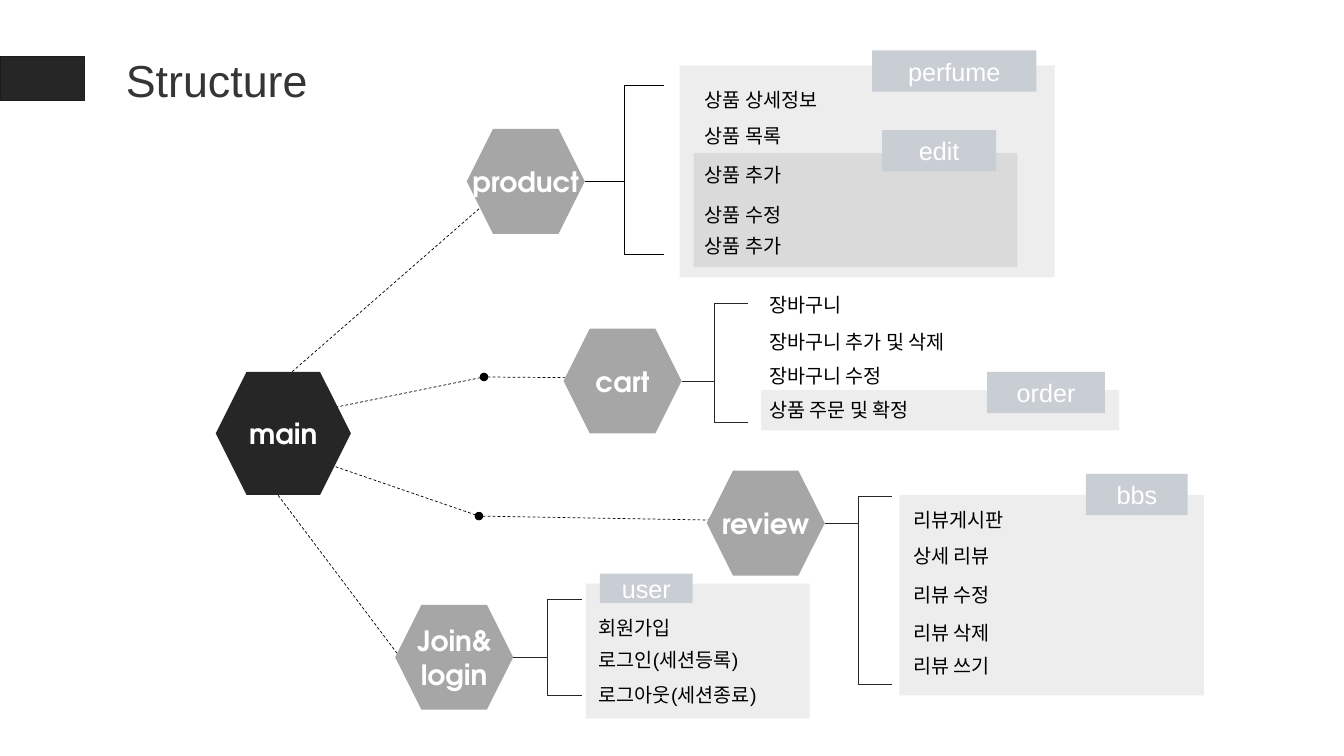
from pptx import Presentation
from pptx.dml.color import RGBColor
from pptx.enum.dml import MSO_LINE
from pptx.enum.shapes import MSO_CONNECTOR as LINK, MSO_SHAPE as SHAPE
from pptx.enum.text import MSO_ANCHOR as ANCHOR, PP_ALIGN as ALIGN
from pptx.oxml.ns import qn
from pptx.util import Inches, Pt
from lxml import etree

BLACK, DARK, GRAY, WHITE = "000000", "262626", "A6A6A6", "FFFFFF"
PANEL, INNER_PANEL, TAG = "EDEDED", "DADADA", "C9CED5"
HEX_WIDTH, HEX_HEIGHT = 1.17, 1.04

deck = Presentation()
deck.slide_width, deck.slide_height = Inches(13.33), Inches(7.5)
page = deck.slides.add_slide(deck.slide_layouts[6])


def color(hex_string):
    return RGBColor.from_string(hex_string)


def add_box(text, left, top, width, height, kind=None, fill=None, line=None,
            size=14, font="Arial", ink=BLACK, bold=False,
            align=ALIGN.LEFT, anchor=ANCHOR.TOP, wrap=True):
    """Add a filled shape of the given kind, or a text box if there is none."""
    place = [Inches(value) for value in (left, top, width, height)]
    if kind is None:
        box = page.shapes.add_textbox(*place)
    else:
        box = page.shapes.add_shape(kind, *place)
        box.shadow.inherit = False
        box.fill.solid()
        box.fill.fore_color.rgb = color(fill)
        if line:
            box.line.color.rgb = color(line)
            box.line.width = Pt(1)
        else:
            box.line.fill.background()
    frame = box.text_frame
    frame.word_wrap = wrap
    frame.vertical_anchor = anchor
    for number, row in enumerate(text.split("\n") if text else []):
        para = frame.add_paragraph() if number else frame.paragraphs[0]
        para.alignment = align
        span = para.add_run()
        span.text = row
        span.font.size = Pt(size)
        span.font.name = font
        span.font.bold = bold
        span.font.color.rgb = color(ink)


def add_link(kind, start, end, ink):
    link = page.shapes.add_connector(kind, *[Inches(v) for v in (*start, *end)])
    link.line.color.rgb = color(ink)
    link.line.width = Pt(0.5)
    etree.SubElement(link._element.spPr, qn("a:effectLst"))
    return link


# Title and its marker
add_box("", 0, 0.56, 0.84, 0.44, kind=SHAPE.RECTANGLE, fill=DARK, line="1C1C1C")
add_box("Structure", 1.15, 0.48, 11.5, 0.62, size=32, ink="353535",
        anchor=ANCHOR.MIDDLE)

# Panels behind the page lists
panels = [
    (7.55, 3.87, 3.55, 0.4, PANEL),
    (8.92, 4.91, 3.02, 1.99, PANEL),
    (5.81, 5.79, 2.22, 1.34, PANEL),
    (6.74, 0.65, 3.72, 2.1, PANEL),
    (6.88, 1.52, 3.21, 1.13, INNER_PANEL),
]
for *place, fill in panels:
    add_box("", *place, kind=SHAPE.RECTANGLE, fill=fill)

# Dashed links from main to each section, with round ends
cart_joint, review_joint = (4.8, 3.74), (4.75, 5.12)
dashed_links = [
    ((5.04, 1.82), (2.78, 3.79)),
    ((4.08, 6.67), (2.65, 4.77)),
    (cart_joint, (6.05, 3.75)),
    (cart_joint, (2.84, 4.14)),
    (review_joint, (3.27, 4.61)),
    (review_joint, (7.07, 5.16)),
]
for start, end in dashed_links:
    link = add_link(LINK.STRAIGHT, start, end, BLACK)
    link.line.dash_style = MSO_LINE.DASH
    outline = link.line._get_or_add_ln()
    for tip in ("a:headEnd", "a:tailEnd"):
        etree.SubElement(outline, qn(tip), type="oval")

# Page lists: left edge, then the top of each entry
page_lists = [
    (6.89, [(0.82, "상품 상세정보"), (1.18, "상품 목록"), (1.57, "상품 추가"),
            (1.96, "상품 수정"), (2.27, "상품 추가")]),
    (7.53, [(2.86, "장바구니"), (3.22, "장바구니 추가 및 삭제"),
            (3.56, "장바구니 수정"), (3.9, "상품 주문 및 확정")]),
    (8.96, [(4.99, "리뷰게시판"), (5.35, "상세 리뷰"), (5.73, "리뷰 수정"),
            (6.11, "리뷰 삭제"), (6.44, "리뷰 쓰기")]),
    (5.84, [(6.06, "회원가입"), (6.38, "로그인(세션등록)"),
            (6.73, "로그아웃(세션종료)")]),
]
for left, entries in page_lists:
    for top, entry in entries:
        add_box(entry, left, top, 2.8, 0.34)

# Hexagons; each section opens a bracket (right edge, upper arm, lower arm)
hexagon_style = dict(kind=SHAPE.HEXAGON, size=20, font="TeX Gyre Adventor",
                     ink=WHITE, bold=True, align=ALIGN.CENTER,
                     anchor=ANCHOR.MIDDLE, wrap=False)
add_box("main", 2.14, 3.69, 1.34, 1.22, fill=DARK, **hexagon_style)
sections = [
    ("product", 4.63, 1.28, 6.59, 0.85, 2.52, BLACK),
    ("cart", 5.59, 3.26, 7.42, 3.01, 4.19, DARK),
    ("review", 7.01, 4.67, 8.85, 4.92, 6.79, DARK),
    ("Join&\nlogin", 3.92, 6, 5.77, 5.95, 6.9, DARK),
]
for name, left, top, right, upper, lower, ink in sections:
    add_box(name, left, top, HEX_WIDTH, HEX_HEIGHT, fill=GRAY, **hexagon_style)
    corner = (left + HEX_WIDTH, top + HEX_HEIGHT / 2)
    for arm in (upper, lower):
        add_link(LINK.ELBOW, corner, (right, arm), ink)

# Folder tags on the panels
tags = [
    ("perfume", 8.65, 0.5, 1.63, 0.41),
    ("edit", 8.75, 1.29, 1.13, 0.41),
    ("order", 9.79, 3.69, 1.17, 0.41),
    ("bbs", 10.77, 4.7, 1.01, 0.41),
    ("user", 5.95, 5.69, 0.92, 0.29),
]
for name, *place in tags:
    add_box(name, *place, kind=SHAPE.RECTANGLE, fill=TAG, size=18, ink=WHITE,
            align=ALIGN.CENTER, anchor=ANCHOR.MIDDLE)

deck.save("out.pptx")
